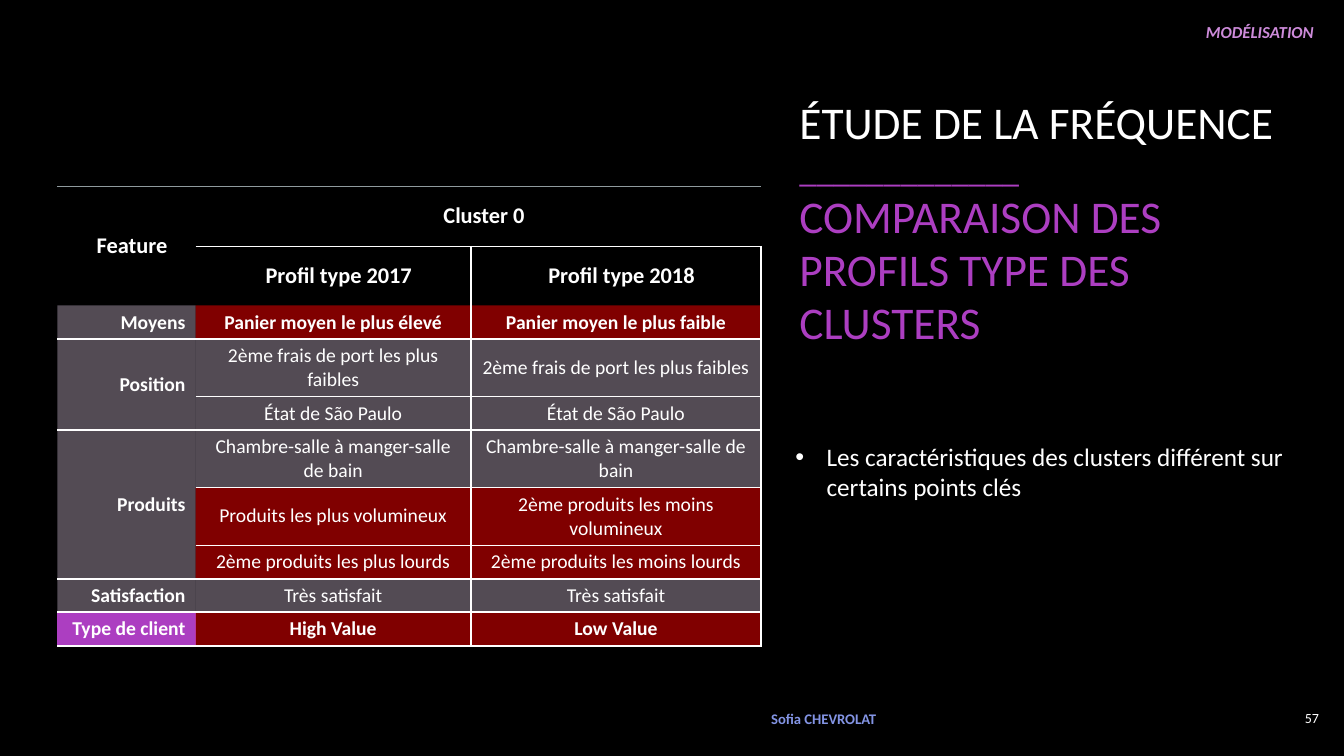
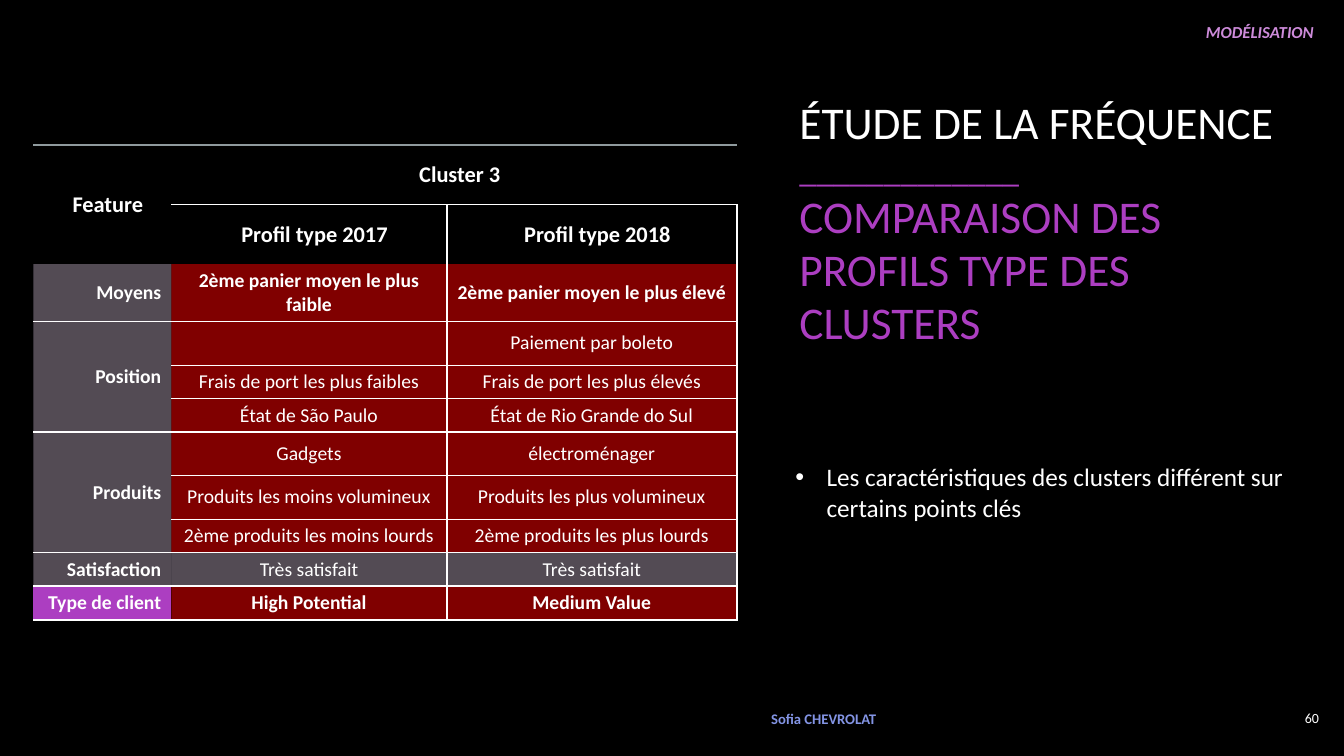
from dataclasses import dataclass

from lxml.etree import SubElement
from pptx import Presentation
from pptx.dml.color import RGBColor
from pptx.enum.text import MSO_ANCHOR, PP_ALIGN
from pptx.oxml.ns import qn
from pptx.util import Inches, Pt


@dataclass(frozen=True)
class Theme:
    font: str = "Calibri"
    background: str = "000000"
    text: str = "FFFFFF"
    accent: str = "AC3EC1"
    section: str = "CD8BDA"
    author: str = "8394E4"
    same: tuple = ("EED8F3", 35)
    changed: tuple = ("FF0000", 50)
    top_rule: tuple = ("8F9A9D", 60)
    title_size: float = 32.4
    underline_size: float = 24.3
    body_size: float = 18
    header_size: float = 16
    cell_size: float = 14
    section_size: float = 12
    author_size: float = 10.5
    page_size: float = 10


T = Theme()
THICK, THIN = 1.5, 0.25
ONE_LINE, SPACED, TWO_LINES, HEADER = 0.33, 0.43, 0.57, 0.59
COLUMNS = (1.37, 2.73, 2.88)
YEARS = ("Profil type 2017", "Profil type 2018")
BOLD_GROUPS = ("Moyens", "Type de client")
CLIENT_TYPE = "Type de client"
SATISFACTION = ("Satisfaction", [("Très satisfait", "Très satisfait", ONE_LINE)])


def add_run(p, text, size, color=T.text, **formats):
    r = p.add_run()
    r.text = text
    r.font.color.rgb = RGBColor.from_string(color)
    for name, value in {"name": T.font, "size": Pt(size), **formats}.items():
        setattr(r.font, name, value)


def add_text(s, box, anchor=MSO_ANCHOR.TOP, align=PP_ALIGN.LEFT):
    """Add an empty wrapping text box and return its text frame."""
    tf = s.shapes.add_textbox(*map(Inches, box)).text_frame
    tf.word_wrap = True
    tf.vertical_anchor = anchor
    tf.paragraphs[0].alignment = align
    return tf


def add_frame(s, page):
    """Add the background, section label, author and page number."""
    s.background.fill.solid()
    s.background.fill.fore_color.rgb = RGBColor.from_string(T.background)
    middle, right = MSO_ANCHOR.MIDDLE, PP_ALIGN.RIGHT
    tf = add_text(s, (7.67, 0.17, 5.46, 0.3), align=right)
    add_run(tf.paragraphs[0], "MODÉLISATION", T.section_size, T.section, bold=True, italic=True)
    tf = add_text(s, (7.55, 6.92, 1.76, 0.41), middle)
    add_run(tf.paragraphs[0], "Sofia CHEVROLAT", T.author_size, T.author, bold=True)
    tf = add_text(s, (12.58, 6.92, 0.6, 0.41), middle, right)
    add_run(tf.paragraphs[0], str(page), T.page_size)


def add_title(s, box):
    tf = add_text(s, box, MSO_ANCHOR.MIDDLE)
    p = tf.paragraphs[0]
    add_run(p, "ÉTUDE DE LA FRÉQUENCE", T.title_size)
    p.add_line_break()
    add_run(p, "_" * 13, T.underline_size, T.accent)
    add_run(tf.add_paragraph(), "COMPARAISON DES PROFILS TYPE DES CLUSTERS", T.title_size, T.accent)
    for p in tf.paragraphs:
        p.line_spacing = 0.98


def add_bullet(s, box, text):
    p = add_text(s, box).paragraphs[0]
    pPr = p._p.get_or_add_pPr()
    pPr.set("marL", str(Inches(0.31)))
    pPr.set("indent", str(-Inches(0.31)))
    SubElement(pPr, qn("a:buFont"), typeface="Arial")
    SubElement(pPr, qn("a:buChar"), char="•")
    add_run(p, text, T.body_size)


def paint(parent, color, opacity=100):
    fill = SubElement(parent, qn("a:solidFill"))
    rgb = SubElement(fill, qn("a:srgbClr"), val=color)
    if opacity < 100:
        SubElement(rgb, qn("a:alpha"), val=str(opacity * 1000))


def horizontal_rule(row, col, starts):
    """Give the width of the line above a row, or 0 for none."""
    if row == 0 or row in starts:
        return THICK
    return THIN if col > 0 and row != 2 else 0


def vertical_rule(row, col):
    """Give the width of the line left of a column, or 0 for none."""
    return THICK if row > 0 and col >= 2 else 0


def add_borders(cell, row, col, starts):
    height = cell.span_height if cell.is_merge_origin else 1
    edges = {
        "L": vertical_rule(row, col),
        "R": vertical_rule(row, col + 1),
        "T": horizontal_rule(row, col, starts),
        "B": horizontal_rule(row + height, col, starts),
    }
    tcPr = cell._tc.get_or_add_tcPr()
    for side, width in edges.items():
        ln = SubElement(tcPr, qn(f"a:ln{side}"), w=str(Pt(width)))
        if not width:
            SubElement(ln, qn("a:noFill"))
        elif side == "T" and row == 0:
            paint(ln, *T.top_rule)
        else:
            paint(ln, T.text)


def fill_cell(cell, text, size, align, bold):
    cell.vertical_anchor = MSO_ANCHOR.MIDDLE
    p = cell.text_frame.paragraphs[0]
    p.alignment = align
    if text:
        add_run(p, text, size, bold=bold)


def add_header(table, cluster):
    table.cell(0, 0).merge(table.cell(1, 0))
    table.cell(0, 1).merge(table.cell(0, 2))
    labels = {(0, 0): "Feature", (0, 1): cluster, (1, 1): YEARS[0], (1, 2): YEARS[1]}
    for (row, col), text in labels.items():
        cell = table.cell(row, col)
        fill_cell(cell, text, T.header_size, PP_ALIGN.CENTER, True)
        cell.margin_left = Inches(0.27)
        cell.margin_top = cell.margin_right = cell.margin_bottom = Inches(0.16)


def add_profile_table(s, left, top, cluster, groups):
    """Compare two years; rows whose values differ are marked in red."""
    heights = [HEADER, HEADER] + [h for _, rows in groups for *_, h in rows]
    shape = s.shapes.add_table(len(heights), len(COLUMNS), Inches(left), Inches(top),
                               Inches(sum(COLUMNS)), Inches(sum(heights)))
    table = shape.table
    table.first_row = table.horz_banding = False
    for column, width in zip(table.columns, COLUMNS):
        column.width = Inches(width)
    for row, height in zip(table.rows, heights):
        row.height = Inches(height)

    add_header(table, cluster)
    fills, starts, row = {}, {len(heights)}, 2
    for label, rows in groups:
        if row > 2:
            starts.add(row)
        if len(rows) > 1:
            table.cell(row, 0).merge(table.cell(row + len(rows) - 1, 0))
        fill_cell(table.cell(row, 0), label, T.cell_size, PP_ALIGN.RIGHT, True)
        for *values, _ in rows:
            fills[row, 0] = (T.accent,) if label == CLIENT_TYPE else T.same
            for col, value in enumerate(values, 1):
                fill_cell(table.cell(row, col), value, T.cell_size, PP_ALIGN.CENTER,
                          label in BOLD_GROUPS)
                fills[row, col] = T.same if values[0] == values[1] else T.changed
            row += 1

    for row in range(len(heights)):
        for col in range(len(COLUMNS)):
            cell = table.cell(row, col)
            add_borders(cell, row, col, starts)
            if (row, col) in fills:
                paint(cell._tc.get_or_add_tcPr(), *fills[row, col])
            else:
                cell.fill.background()


def add_cluster_slide(prs, page, cluster, table_at, bullet_top, groups):
    s = prs.slides.add_slide(prs.slide_layouts[6])
    add_frame(s, page)
    add_title(s, (7.83, 0.69, 5.05, 3.06))
    add_bullet(s, (7.79, bullet_top, 5.23, 1.01),
               "Les caractéristiques des clusters différent sur certains points clés")
    add_profile_table(s, *table_at, cluster, groups)


CLUSTER_0 = [
    ("Moyens", [("Panier moyen le plus élevé", "Panier moyen le plus faible", ONE_LINE)]),
    ("Position", [
        ("2ème frais de port les plus faibles", "2ème frais de port les plus faibles", TWO_LINES),
        ("État de São Paulo", "État de São Paulo", ONE_LINE),
    ]),
    ("Produits", [
        ("Chambre-salle à manger-salle de bain", "Chambre-salle à manger-salle de bain", TWO_LINES),
        ("Produits les plus volumineux", "2ème produits les moins volumineux", TWO_LINES),
        ("2ème produits les plus lourds", "2ème produits les moins lourds", ONE_LINE),
    ]),
    SATISFACTION,
    (CLIENT_TYPE, [("High Value", "Low Value", ONE_LINE)]),
]
CLUSTER_3 = [
    ("Moyens", [("2ème panier moyen le plus faible", "2ème panier moyen le plus élevé", TWO_LINES)]),
    ("Position", [
        ("", "Paiement par boleto", SPACED),
        ("Frais de port les plus faibles", "Frais de port les plus élevés", ONE_LINE),
        ("État de São Paulo", "État de Rio Grande do Sul", ONE_LINE),
    ]),
    ("Produits", [
        ("Gadgets", "électroménager", SPACED),
        ("Produits les moins volumineux", "Produits les plus volumineux", SPACED),
        ("2ème produits les moins lourds", "2ème produits les plus lourds", ONE_LINE),
    ]),
    SATISFACTION,
    (CLIENT_TYPE, [("High Potential", "Medium Value", ONE_LINE)]),
]


def main():
    prs = Presentation()
    prs.slide_width, prs.slide_height = Inches(13.33), Inches(7.5)
    add_cluster_slide(prs, 57, "Cluster 0", (0.57, 1.85), 4.33, CLUSTER_0)
    add_cluster_slide(prs, 60, "Cluster 3", (0.33, 1.44), 4.53, CLUSTER_3)
    prs.save("out.pptx")


if __name__ == "__main__":
    main()
